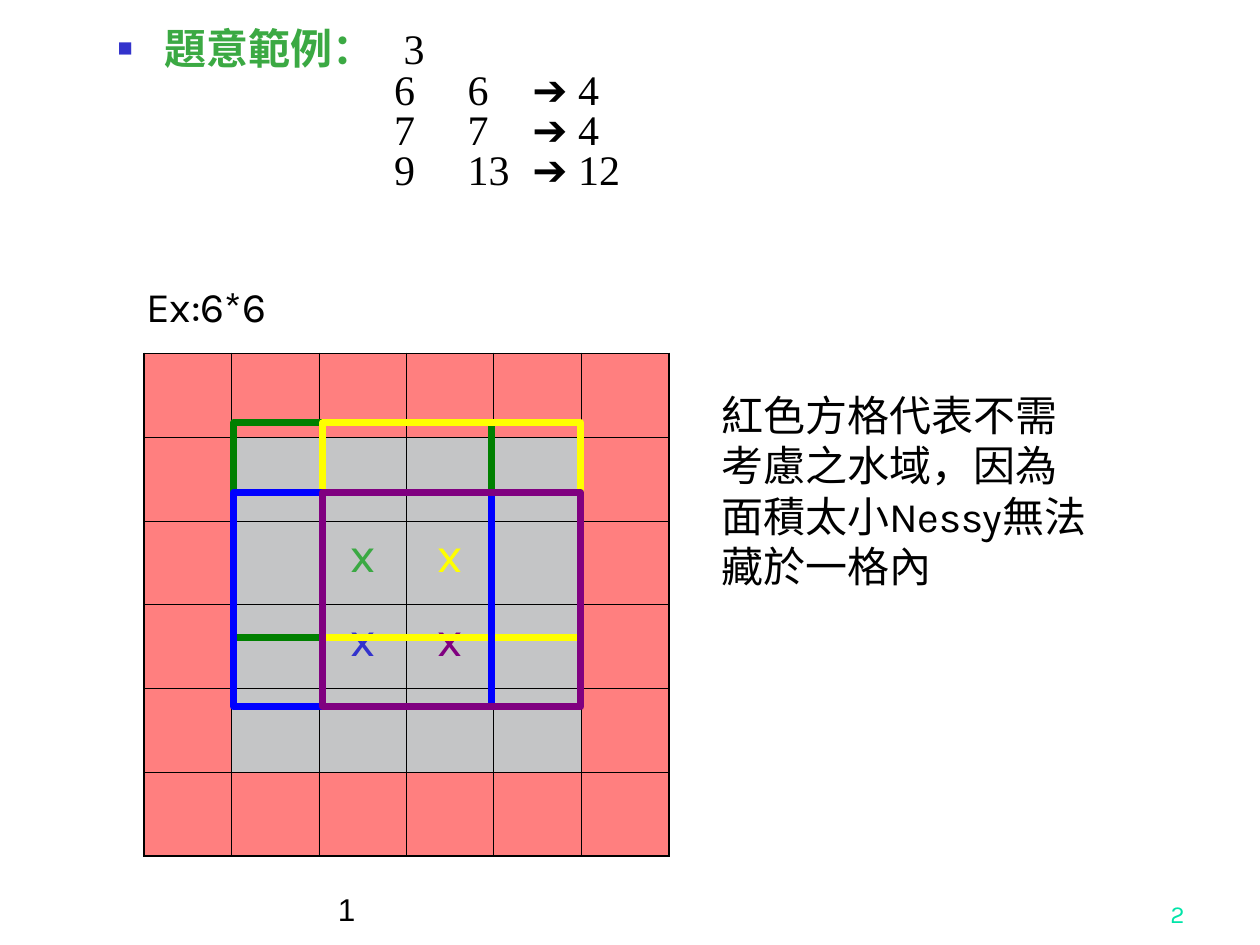
"""Build the slide on the lake grid with its four boxes."""
from dataclasses import dataclass

import pptx
import pptx.dml.color
import pptx.enum.shapes
import pptx.enum.text
import pptx.oxml
import pptx.oxml.ns
import pptx.util

Pt = pptx.util.Pt
Align = pptx.enum.text.PP_ALIGN
Anchor = pptx.enum.text.MSO_ANCHOR
HUES = {
    "ink": "000000", "head": "3BA943", "mark": "3333CC", "red": "FF0000",
    "gray": "C4C5C6", "green": "008000", "yellow": "FFFF00", "blue": "0000FF",
    "purple": "800080", "mint": "00E4A8",
}
NS = 'xmlns:a="http://schemas.openxmlformats.org/drawingml/2006/main"'
SIZE = 6
THIN, THICK = 0.45, 1.08


@dataclass(frozen=True)
class Label:
    text: str
    left: float
    top: float
    width: float
    height: float
    size: float
    font: str = "Karla"
    hue: str = "ink"
    align: Align = Align.LEFT
    anchor: Anchor = Anchor.TOP


@dataclass(frozen=True)
class Frame:
    hue: str
    col: int
    row: int


LABELS = [
    Label("Ex:6*6", 76.5, 157, 227, 36, 24),
    Label("紅色方格代表不需考慮之水域，因為面積太小Nessy無法藏於一格內",
          405, 219, 227, 122, 24),
    Label("1", 186, 498, 390, 36, 18, "Arial", anchor=Anchor.BOTTOM),
    Label("2", 534, 498, 150, 36, 14, hue="mint", align=Align.RIGHT,
          anchor=Anchor.BOTTOM),
]
FRAMES = [Frame("green", 0, 0), Frame("yellow", 1, 0),
          Frame("blue", 0, 1), Frame("purple", 1, 1)]
MARKS = {(2, 2): "head", (2, 3): "yellow", (3, 2): "mark", (3, 3): "purple"}
CASES = [("6", "6", "4"), ("7", "7", "4"), ("9", "13", "12")]


def tint(name: str) -> pptx.dml.color.RGBColor:
    """Return the colour of that name."""
    return pptx.dml.color.RGBColor.from_string(HUES[name])


def style(run, size: float, font: str, hue: str, bold: bool = False) -> None:
    """Format one run."""
    run.font.size = Pt(size)
    run.font.name = font
    run.font.bold = bold
    run.font.color.rgb = tint(hue)


def draw_label(slide, label: Label) -> None:
    """Draw one text box."""
    box = slide.shapes.add_textbox(Pt(label.left), Pt(label.top),
                                   Pt(label.width), Pt(label.height))
    frame = box.text_frame
    frame.word_wrap = True
    frame.vertical_anchor = label.anchor
    frame.text = label.text
    line = frame.paragraphs[0]
    line.alignment = label.align
    style(line.runs[0], label.size, label.font, label.hue)


def draw_cases(slide) -> None:
    """Fill the body with the heading and the sample cases."""
    slide.shapes.title.element.getparent().remove(slide.shapes.title.element)
    body = slide.placeholders[1]
    body.left, body.top, body.width, body.height = map(Pt, (60, 15, 613, 136))
    frame = body.text_frame
    frame.auto_size = pptx.enum.text.MSO_AUTO_SIZE.NONE
    frame.vertical_anchor = Anchor.TOP
    line = frame.paragraphs[0]
    props = line._p.get_or_add_pPr()
    props.set("marL", str(Pt(27)))
    props.set("indent", str(Pt(-27)))
    stops = "".join(f'<a:tab pos="{Pt(x)}" algn="l"/>' for x in (158, 200, 237))
    for part in (f'<a:buClr {NS}><a:srgbClr val="{HUES["mark"]}"/></a:buClr>',
                 f'<a:buSzPct {NS} val="60000"/>',
                 f'<a:buFont {NS} typeface="Arial"/>',
                 f'<a:buChar {NS} char="■"/>',
                 f'<a:tabLst {NS}>{stops}</a:tabLst>'):
        props.append(pptx.oxml.parse_xml(part))
    line.line_spacing = 0.8
    line.space_before = Pt(0)

    def add(text: str, font: str = "Times New Roman", hue: str = "ink",
            bold: bool = False) -> None:
        """Add a run to the line."""
        run = line.add_run()
        run.text = text
        style(run, 24, font, hue, bold)

    add("題意範例：", hue="head", bold=True)
    add("\t 3")
    for rows, cols, count in CASES:
        line.add_line_break()
        add(f"\t{rows}\t{cols}\t")
        add("➔", "Arial")
        add(f" {count}")
    for gap in line._p.findall(pptx.oxml.ns.qn("a:br")):
        gap.append(pptx.oxml.parse_xml(f'<a:rPr {NS} sz="2400"/>'))


def edge(cell, row: int, col: int) -> None:
    """Give a cell thin lines, and thick ones on the rim."""
    rim = {"L": col == 0, "R": col == SIZE - 1,
           "T": row == 0, "B": row == SIZE - 1}
    props = cell._tc.get_or_add_tcPr()
    for spot, (side, outer) in enumerate(rim.items()):
        width = Pt(THICK if outer else THIN)
        props.insert(spot, pptx.oxml.parse_xml(
            f'<a:ln{side} {NS} w="{width}"><a:solidFill><a:srgbClr '
            f'val="{HUES["ink"]}"/></a:solidFill></a:ln{side}>'))


def draw_grid(slide) -> None:
    """Draw the table of water cells."""
    table = slide.shapes.add_table(SIZE, SIZE, Pt(82.3), Pt(202),
                                   Pt(300), Pt(287.4)).table
    table.first_row = table.horz_banding = False
    for col in table.columns:
        col.width = Pt(50)
    for row in table.rows:
        row.height = Pt(47.9)
    for row in range(SIZE):
        for col in range(SIZE):
            cell = table.cell(row, col)
            shore = row in (0, SIZE - 1) or col in (0, SIZE - 1)
            cell.fill.solid()
            cell.fill.fore_color.rgb = tint("red" if shore else "gray")
            if shore:
                shade = cell._tc.tcPr.find(".//" + pptx.oxml.ns.qn("a:srgbClr"))
                shade.append(pptx.oxml.parse_xml(f'<a:alpha {NS} val="50000"/>'))
            edge(cell, row, col)
            if (row, col) in MARKS:
                cell.text_frame.text = "x"
                line = cell.text_frame.paragraphs[0]
                line.alignment = Align.CENTER
                style(line.runs[0], 28, "Karla", MARKS[row, col])


def draw_frame(slide, frame: Frame) -> None:
    """Draw one hollow box over the grid."""
    box = slide.shapes.add_shape(
        pptx.enum.shapes.MSO_SHAPE.RECTANGLE, Pt(133.5 + 51 * frame.col),
        Pt(241.7 + 39.7 * frame.row), Pt(147.4), Pt(122.5))
    box.shadow.inherit = False
    box.fill.background()
    box.line.color.rgb = tint(frame.hue)
    box.line.width = Pt(4)


def main() -> None:
    """Build and save the deck."""
    deck = pptx.Presentation()
    deck.slide_width, deck.slide_height = Pt(720), Pt(540)
    slide = deck.slides.add_slide(deck.slide_layouts[1])
    draw_cases(slide)
    draw_grid(slide)
    for frame in FRAMES:
        draw_frame(slide, frame)
    for label in LABELS:
        draw_label(slide, label)
    deck.save("out.pptx")


if __name__ == "__main__":
    main()
